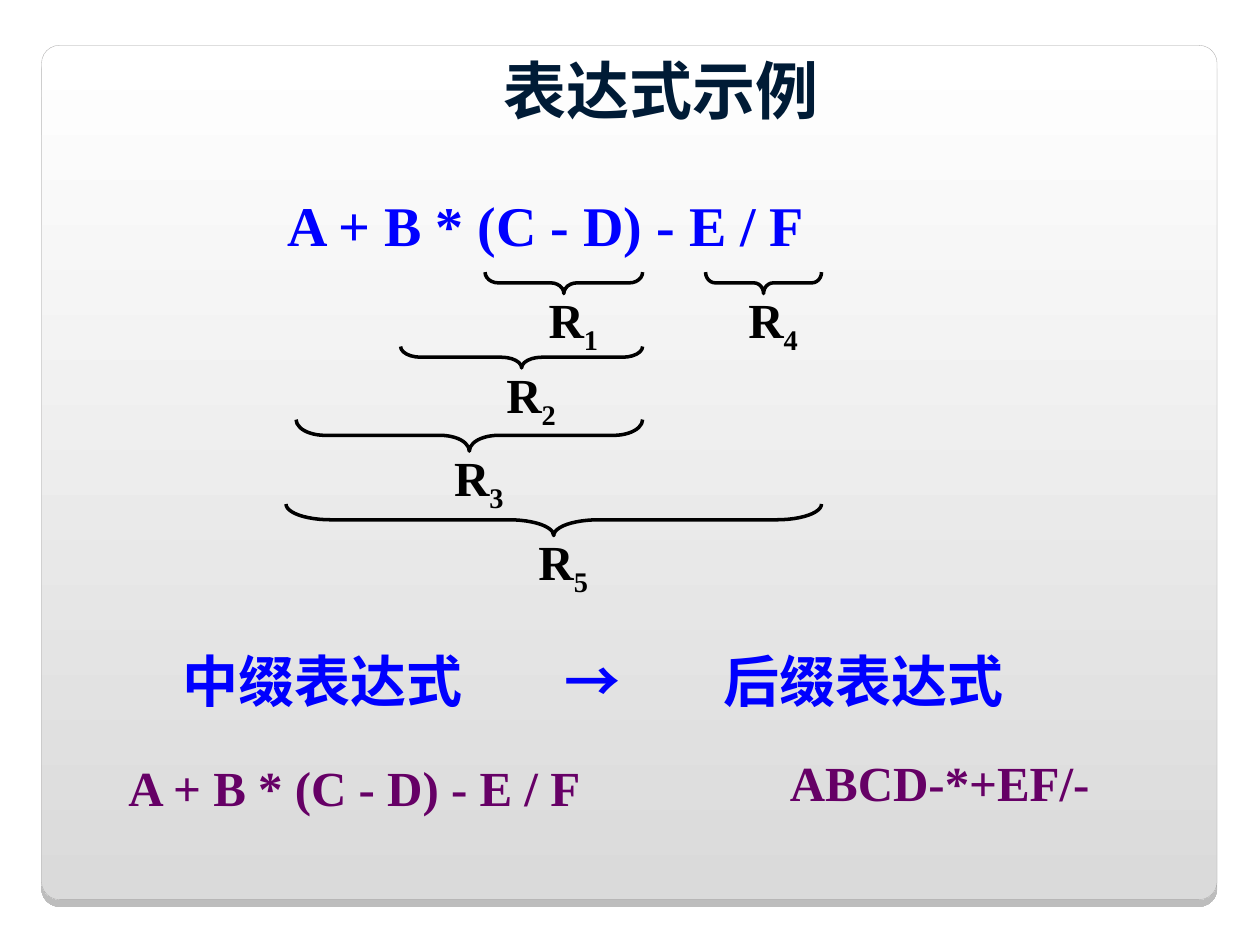
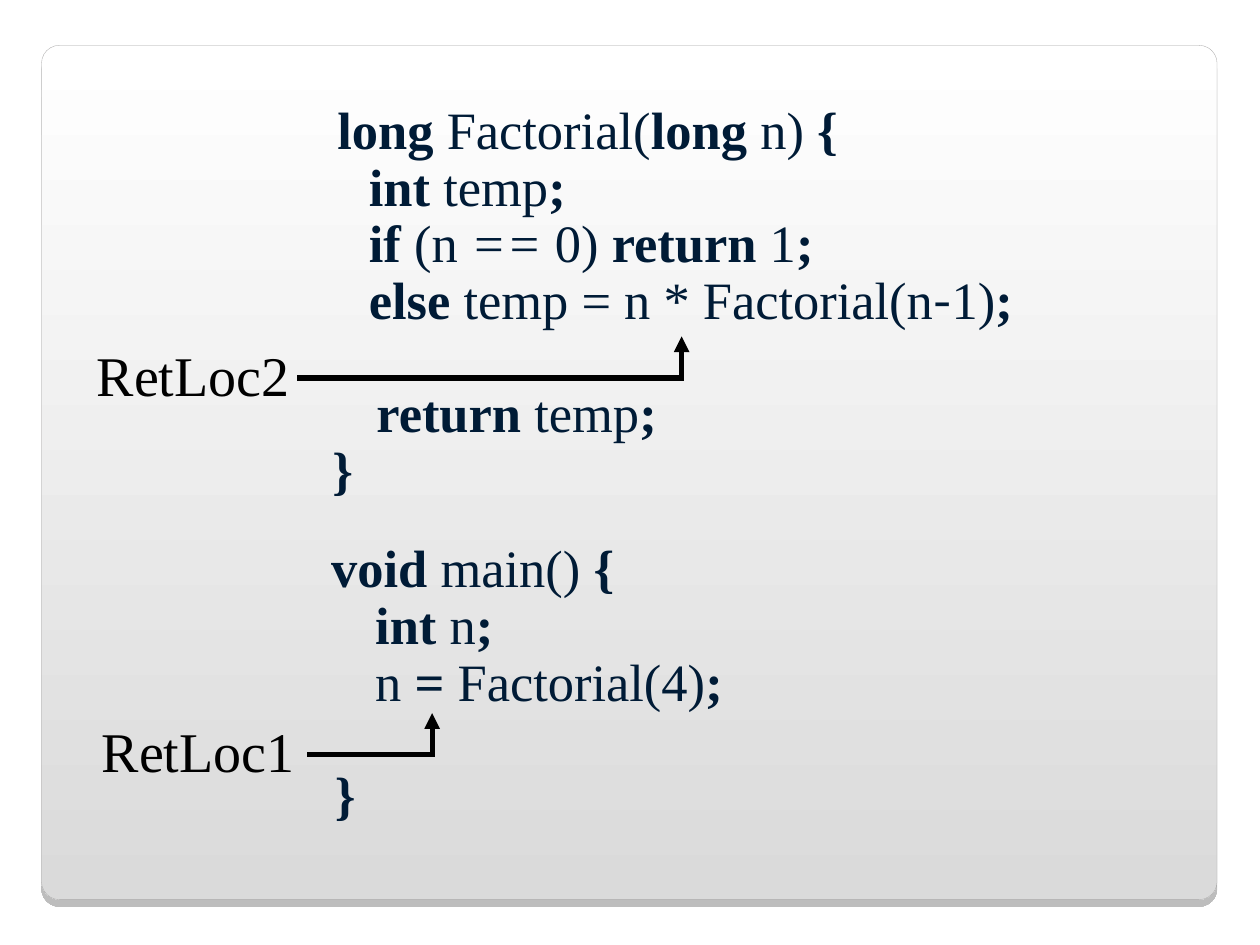
from dataclasses import dataclass
from lxml.etree import SubElement
from pptx import Presentation
from pptx.dml.color import RGBColor as Rgb
from pptx.enum.shapes import MSO_CONNECTOR as Link, MSO_SHAPE as Form
from pptx.enum.text import MSO_ANCHOR as Anchor, PP_ALIGN as Align
from pptx.oxml.ns import qn
from pptx.util import Inches, Pt


@dataclass(frozen=True)
class Theme:
    serif: str = "Times New Roman"
    sans: str = "Noto Sans CJK SC"
    ink: str = "001B36"
    black: str = "000000"
    blue: str = "0000FF"
    plum: str = "660066"
    light: str = "FFFFFF"
    dark: str = "DADADA"
    edge: str = "A4A3A3"
    title: int = 36
    large: int = 32
    code: int = 30
    label: int = 28
    pitch: float = 32.4


class Deck:
    def __init__(self, theme):
        self.theme = theme
        self.show = Presentation()
        self.show.slide_width = Inches(10)
        self.show.slide_height = Inches(7.5)
        self.slide = None

    def page(self):
        self.slide = self.show.slides.add_slide(self.show.slide_layouts[6])
        panel = self.shape(Form.ROUNDED_RECTANGLE, 0.33, 0.36, 9.33, 6.78)
        panel.adjustments[0] = 0.021
        panel.fill.gradient()
        panel.fill.gradient_angle = 270
        tones = (self.theme.light, self.theme.dark)
        for stop, tone in zip(panel.fill.gradient_stops, tones):
            stop.color.rgb = Rgb.from_string(tone)
        self.stroke(panel, self.theme.edge, 0.17)
        glow = SubElement(panel._element.spPr.find(qn("a:effectLst")), qn("a:outerShdw"),
                          blurRad="0", dist=str(Pt(4)), dir="5400000", rotWithShape="0")
        tint = SubElement(glow, qn("a:srgbClr"), val=self.theme.black)
        SubElement(tint, qn("a:alpha"), val="25000")

    def shape(self, form, x, y, wide, high):
        item = self.slide.shapes.add_shape(form, Inches(x), Inches(y), Inches(wide), Inches(high))
        item.shadow.inherit = False
        return item

    def stroke(self, item, color, width):
        item.line.color.rgb = Rgb.from_string(color)
        item.line.width = Pt(width)

    def frame(self, x, y, wide, high):
        box = self.slide.shapes.add_textbox(Inches(x), Inches(y), Inches(wide), Inches(high))
        box.text_frame.word_wrap = True
        return box.text_frame

    def run(self, para, text, size, color, bold=True, italic=False, face=None):
        run = para.add_run()
        run.text = text
        font = run.font
        font.name = face or self.theme.serif
        font.size = Pt(size)
        font.bold = bold
        font.italic = italic
        font.color.rgb = Rgb.from_string(color)
        SubElement(font._element, qn("a:ea"), typeface=self.theme.sans)
        return run

    def text(self, words, x, y, wide, high, size, color, **style):
        para = self.frame(x, y, wide, high).paragraphs[0]
        self.run(para, words, size, color, **style)
        return para

    def title(self, words):
        frame = self.frame(1.58, 0.33, 7.33, 0.75)
        frame.vertical_anchor = Anchor.MIDDLE
        para = frame.paragraphs[0]
        para.alignment = Align.CENTER
        self.run(para, words, self.theme.title, self.theme.ink, face=self.theme.sans)

    def math(self, words, x, y, wide, size, color):
        self.text(words, x, y, wide, 0.6, size, color).line_spacing = 0.95

    def brace(self, index, left, right, top, depth):
        span, mid = right - left, (left + right) / 2
        arc = self.shape(Form.LEFT_BRACE, mid - depth / 2, top + (depth - span) / 2, depth, span)
        arc.rotation = 270
        arc.adjustments[0] = span / 12 / depth
        arc.fill.background()
        self.stroke(arc, self.theme.black, 2)
        size, color = self.theme.label, self.theme.black
        para = self.text("R", mid - 0.22, top + depth - 0.08, 0.68, 0.55, size, color)
        low = self.run(para, index, size, color)
        low.font._element.set("baseline", "-25000")

    def code(self, lines, x, y, wide, high):
        frame = self.frame(x, y, wide, high)
        for row, (indent, gap, parts) in enumerate(lines):
            para = frame.add_paragraph() if row else frame.paragraphs[0]
            para._p.get_or_add_pPr().set("marL", str(Inches(indent)))
            para.line_spacing = Pt(self.theme.pitch)
            if gap:
                para.space_before = Pt(self.theme.pitch)
            for words, mark in parts:
                self.run(para, words, self.theme.code, self.theme.ink, bold="b" in mark,
                         italic="i" in mark, face=self.theme.sans if "s" in mark else None)

    def line(self, start, end, arrow=False):
        ends = [Inches(spot) for spot in (*start, *end)]
        link = self.slide.shapes.add_connector(Link.STRAIGHT, *ends)
        self.stroke(link, self.theme.black, 3)
        if arrow:
            SubElement(link.line._get_or_add_ln(), qn("a:tailEnd"), type="triangle")
        SubElement(link._element.spPr, qn("a:effectLst"))

    def marker(self, words, x, start, turn, y):
        self.text(words, x, y - 0.35, 1.8, 0.64, self.theme.large, self.theme.black, bold=False)
        self.line((start, y), (turn + 0.02, y))
        self.line((turn, y), (turn, y - 0.33), arrow=True)


def terms(deck):
    theme = deck.theme
    infix = "A + B * (C - D) - E / F"
    deck.page()
    deck.title("表达式示例")
    deck.math(infix, 2.18, 1.5, 4.6, theme.large, theme.blue)
    for brace in (
        ("1", 3.85, 5.1, 2.16, 0.17),
        ("4", 5.6, 6.52, 2.16, 0.17),
        ("2", 3.18, 5.1, 2.75, 0.17),
        ("3", 2.35, 5.1, 3.33, 0.25),
        ("5", 2.27, 6.52, 4, 0.25),
    ):
        deck.brace(*brace)
    for words, x in (("中缀表达式", 1.35), ("→", 4.38), ("后缀表达式", 5.64)):
        deck.text(words, x, 5.08, 2.7, 0.7, theme.large, theme.blue, face=theme.sans)
    deck.math(infix, 0.92, 6, 4, theme.label, theme.plum)
    deck.math("ABCD-*+EF/-", 6.17, 5.96, 2.8, theme.label, theme.plum)


def calls(deck):
    factor = (
        (0.07, False, (("long", "b"), (" Factorial(", ""), ("long", "b"), (" n) ", ""), ("{", "b"))),
        (0.32, False, (("int", "b"), (" temp", ""), (";", "b"))),
        (0.32, False, (("if", "b"), (" (n", ""), (" ==", "i"), (" 0) ", ""),
                       ("return", "b"), (" 1", ""), (";", "b"))),
        (0.32, False, (("else", "b"), (" temp = n * Factorial(n", ""), ("-", "s"),
                       ("1)", ""), (";", "b"))),
        (0.38, True, (("return", "b"), (" temp", ""), (";", "b"))),
        (0.03, False, (("}", "b"),)),
    )
    main = (
        (0.02, False, (("void ", "b"), ("main()", ""), (" {", "b"))),
        (0.37, False, (("int ", "b"), ("n", ""), (";", "b"))),
        (0.37, False, (("n", ""), (" = ", "b"), ("Factorial(4)", ""), (";", "b"))),
        (0.05, True, (("}", "b"),)),
    )
    deck.page()
    deck.code(factor, 2.51, 0.77, 6.66, 3.25)
    deck.code(main, 2.51, 4.25, 6, 2.35)
    deck.marker("RetLoc2", 0.67, 2.36, 5.41, 3)
    deck.marker("RetLoc1", 0.71, 2.44, 3.43, 5.99)


def main():
    deck = Deck(Theme())
    terms(deck)
    calls(deck)
    deck.show.save("out.pptx")


if __name__ == "__main__":
    main()
